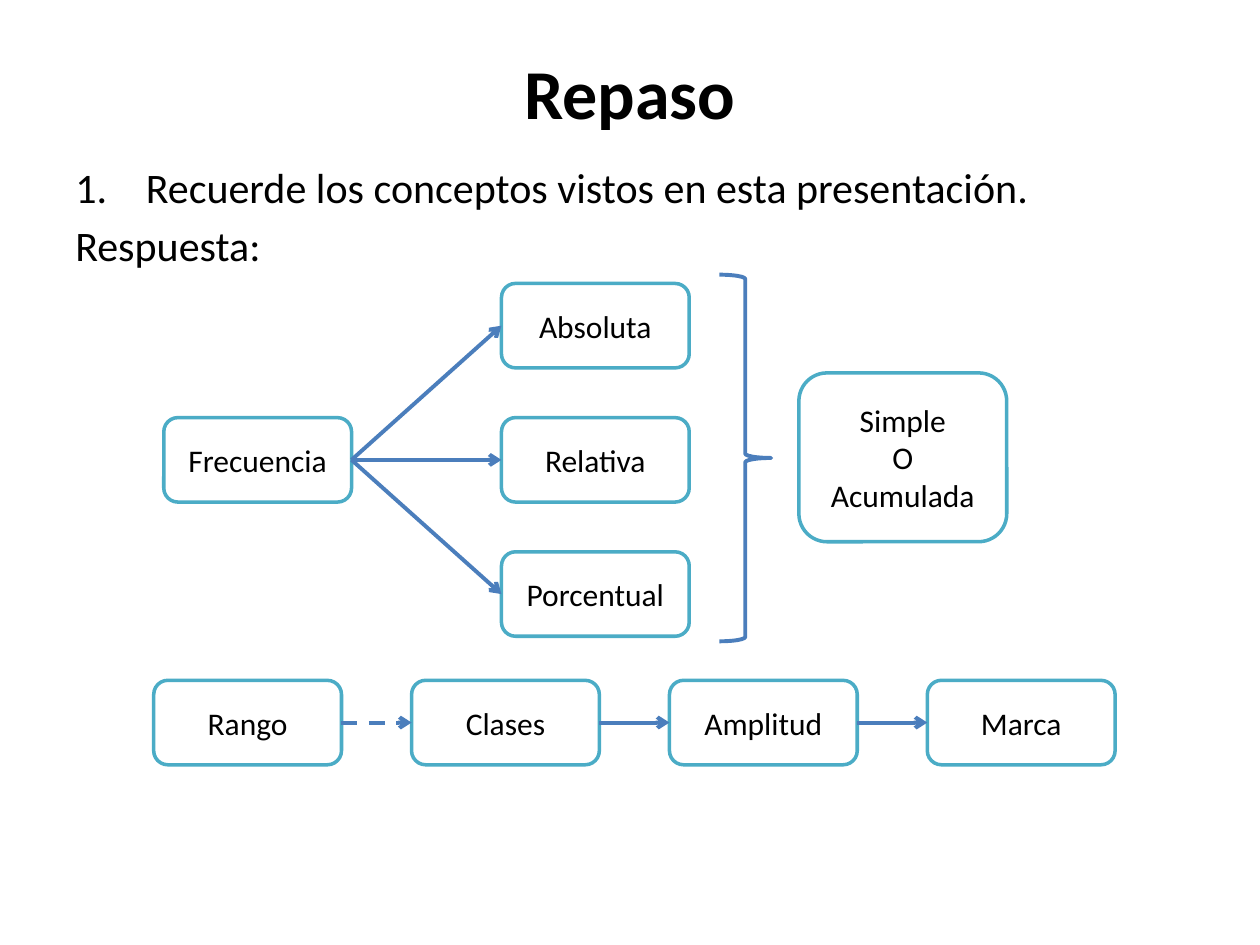
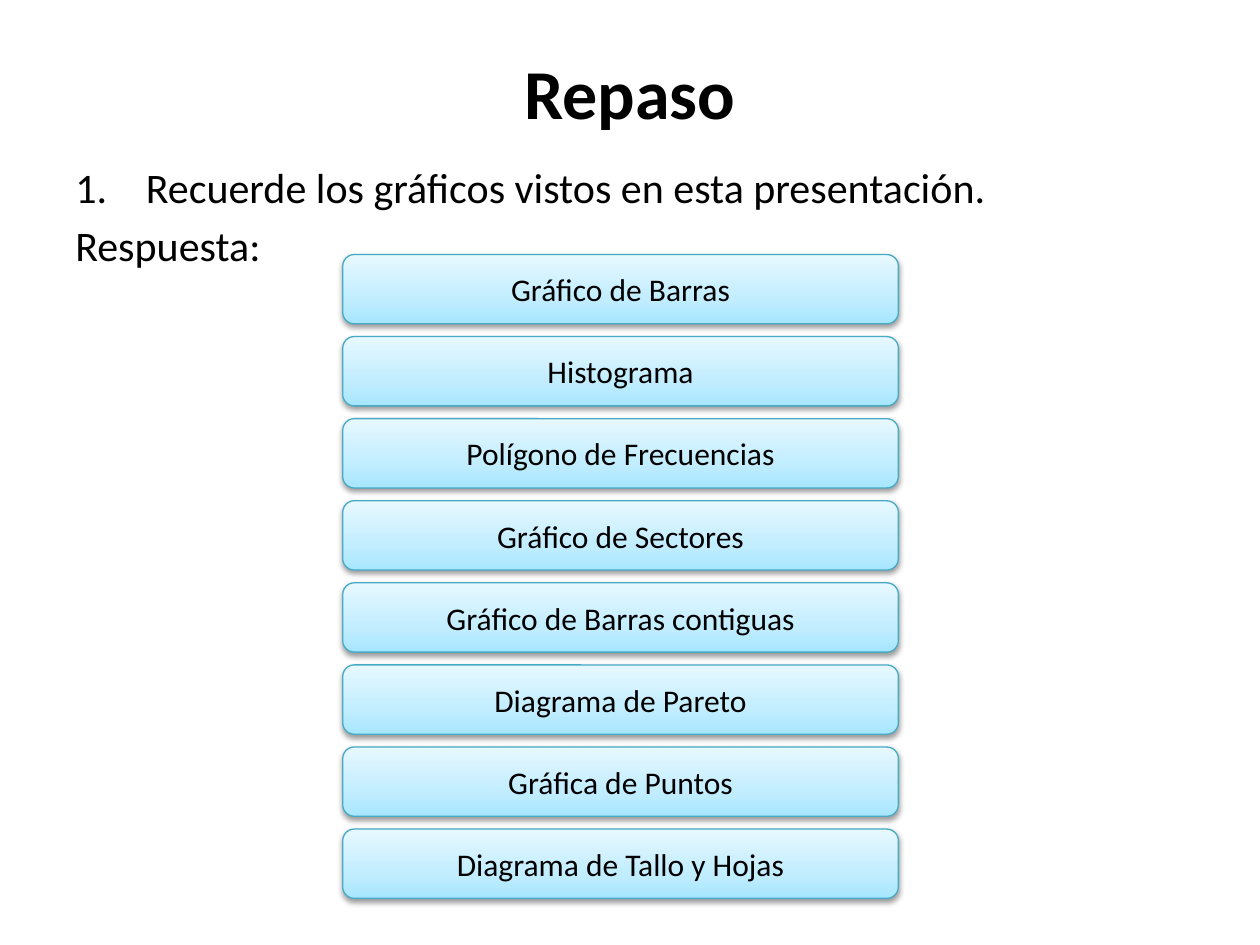
"""Build two review slides: a map of frequency concepts and a list of chart types."""
import lxml.etree
import pptx
import pptx.dml.color
import pptx.enum.dml
import pptx.enum.shapes
import pptx.enum.text
import pptx.oxml.ns
import pptx.util

TITLE = "Repaso"
ANSWER = "Respuesta:"
CONCEPT_QUESTION = "Recuerde los conceptos vistos en esta presentación."
CHART_QUESTION = "Recuerde los gráficos vistos en esta presentación."
ROOT = "Frecuencia"
BRANCHES = ["Absoluta", "Relativa", "Porcentual"]
KINDS = ["Simple", "O", "Acumulada"]
CHAIN = ["Rango", "Clases", "Amplitud", "Marca"]
CHARTS = [
    "Gráfico de Barras", "Histograma", "Polígono de Frecuencias", "Gráfico de Sectores",
    "Gráfico de Barras contiguas", "Diagrama de Pareto", "Gráfica de Puntos",
    "Diagrama de Tallo y Hojas",
]

FONT = "Calibri"
BLACK, WHITE = "000000", "FFFFFF"
OUTLINE, ARROW, BAR_EDGE = "4BACC6", "4B7EBC", "46AAC5"
BAR_STOPS = [(0, "A7E6FF"), (35, "C1EDFF"), (100, "E7F8FF")]
TITLE_FORMAT = {"size": pptx.util.Pt(40), "bold": True}
BODY_FORMAT = {"size": pptx.util.Pt(24)}
NODE_FORMAT = {"size": pptx.util.Pt(18)}

WIDTH, HEIGHT, MARGIN = 10, 7.5, 0.5
INDENT = 0.56
NODE_WIDTH, NODE_HEIGHT = 1.49, 0.67
ROOT_LEFT, BRANCH_LEFT = 1.3, 3.98
BRANCH_TOPS = (2.25, 4.38)
BRACE = (5.71, 2.18, 0.41, 2.91)
KIND_PLACE = (6.34, 2.96, 1.65, 1.34)
CHAIN_LEFTS, CHAIN_TOP = (1.22, 7.36), 5.4
BAR_LEFT, BAR_WIDTH, BAR_HEIGHT = 2.72, 4.41, 0.55
BAR_TOPS = (2.02, 6.58)
LEFT_SITE, RIGHT_SITE = 1, 3
SHAPES = pptx.enum.shapes.MSO_SHAPE
ALIGN = pptx.enum.text.PP_ALIGN
ANCHOR = pptx.enum.text.MSO_ANCHOR


def color(code):
    return pptx.dml.color.RGBColor.from_string(code)


def inches(*values):
    return [pptx.util.Inches(value) for value in values]


def spread(ends, count):
    first, last = ends
    return [first + (last - first) * step / (count - 1) for step in range(count)]


def add_xml(parent, tag, **values):
    element = lxml.etree.SubElement(parent, pptx.oxml.ns.qn("a:" + tag))
    for name, value in values.items():
        element.set(name, str(value))
    return element


def write(box, lines, font_format, align=ALIGN.CENTER, anchor=ANCHOR.MIDDLE):
    frame = box.text_frame
    frame.word_wrap = True
    frame.vertical_anchor = anchor
    for number, line in enumerate(lines):
        para = frame.add_paragraph() if number else frame.paragraphs[0]
        para.alignment = align
        span = para.add_run()
        span.text = line
        for name, value in {"name": FONT, **font_format}.items():
            setattr(span.font, name, value)
        span.font.color.rgb = color(BLACK)
    return frame.paragraphs


def set_line(item, code, points):
    item.line.color.rgb = color(code)
    item.line.width = pptx.util.Pt(points)


def add_outline(page, kind, place, code, points):
    shape = page.shapes.add_shape(kind, *inches(*place))
    shape.shadow.inherit = False
    shape.fill.background()
    set_line(shape, code, points)
    return shape


def add_node(page, lines, place):
    node = add_outline(page, SHAPES.ROUNDED_RECTANGLE, place, OUTLINE, 2)
    node.fill.solid()
    node.fill.fore_color.rgb = color(WHITE)
    write(node, lines, NODE_FORMAT)
    return node


def add_bar(page, label, top):
    place = (BAR_LEFT, top, BAR_WIDTH, BAR_HEIGHT)
    bar = add_outline(page, SHAPES.ROUNDED_RECTANGLE, place, BAR_EDGE, 0.75)
    bar.fill.gradient()
    bar.fill.gradient_angle = 90
    properties = bar.element.spPr
    stops = properties.find(".//" + pptx.oxml.ns.qn("a:gsLst"))
    for stop in list(stops):
        stops.remove(stop)
    for percent, code in BAR_STOPS:
        add_xml(add_xml(stops, "gs", pos=percent * 1000), "srgbClr", val=code)
    effects = properties.find(pptx.oxml.ns.qn("a:effectLst"))
    shadow = add_xml(effects, "outerShdw", blurRad=40000, dist=20000, dir=5400000, rotWithShape=0)
    add_xml(add_xml(shadow, "srgbClr", val=BLACK), "alpha", val=38000)
    write(bar, [label], NODE_FORMAT)


def add_arrow(page, start, end, dashed=False):
    arrow = page.shapes.add_connector(pptx.enum.shapes.MSO_CONNECTOR.STRAIGHT, 0, 0, 0, 0)
    arrow.begin_connect(start, RIGHT_SITE)
    arrow.end_connect(end, LEFT_SITE)
    set_line(arrow, ARROW, 2.25)
    if dashed:
        arrow.line.dash_style = pptx.enum.dml.MSO_LINE.DASH
    add_xml(arrow.line._get_or_add_ln(), "tailEnd", type="arrow")
    add_xml(arrow.element.spPr, "effectLst")


def add_page(deck, question):
    page = deck.slides.add_slide(deck.slide_layouts[6])
    width = WIDTH - 2 * MARGIN
    title = page.shapes.add_textbox(*inches(MARGIN, 0.3, width, 0.85))
    write(title, [TITLE], TITLE_FORMAT)
    body = page.shapes.add_textbox(*inches(MARGIN, 1.23, width, 1.3))
    paras = write(body, [question, ANSWER], BODY_FORMAT, ALIGN.JUSTIFY, ANCHOR.TOP)
    for para in paras:
        para.space_before = pptx.util.Pt(4.8)
        layout = para._p.get_or_add_pPr()
        layout.set("marL", str(pptx.util.Inches(INDENT)))
        layout.set("indent", str(pptx.util.Inches(-INDENT)))
    add_xml(paras[0]._p.pPr, "buFont", typeface="+mj-lt")
    add_xml(paras[0]._p.pPr, "buAutoNum", type="arabicPeriod")
    add_xml(paras[1]._p.pPr, "buNone")
    return page


def build_concepts(deck):
    page = add_page(deck, CONCEPT_QUESTION)
    size = (NODE_WIDTH, NODE_HEIGHT)
    root = add_node(page, [ROOT], (ROOT_LEFT, sum(BRANCH_TOPS) / 2, *size))
    for label, top in zip(BRANCHES, spread(BRANCH_TOPS, len(BRANCHES))):
        add_arrow(page, root, add_node(page, [label], (BRANCH_LEFT, top, *size)))
    add_outline(page, SHAPES.RIGHT_BRACE, BRACE, ARROW, 2.25)
    add_node(page, KINDS, KIND_PLACE)
    lefts = spread(CHAIN_LEFTS, len(CHAIN))
    links = [add_node(page, [label], (left, CHAIN_TOP, *size)) for label, left in zip(CHAIN, lefts)]
    for number, (start, end) in enumerate(zip(links, links[1:])):
        add_arrow(page, start, end, dashed=number == 0)


def build_charts(deck):
    page = add_page(deck, CHART_QUESTION)
    for label, top in zip(CHARTS, spread(BAR_TOPS, len(CHARTS))):
        add_bar(page, label, top)


def main():
    deck = pptx.Presentation()
    deck.slide_width, deck.slide_height = inches(WIDTH, HEIGHT)
    build_concepts(deck)
    build_charts(deck)
    deck.save("out.pptx")


if __name__ == "__main__":
    main()
